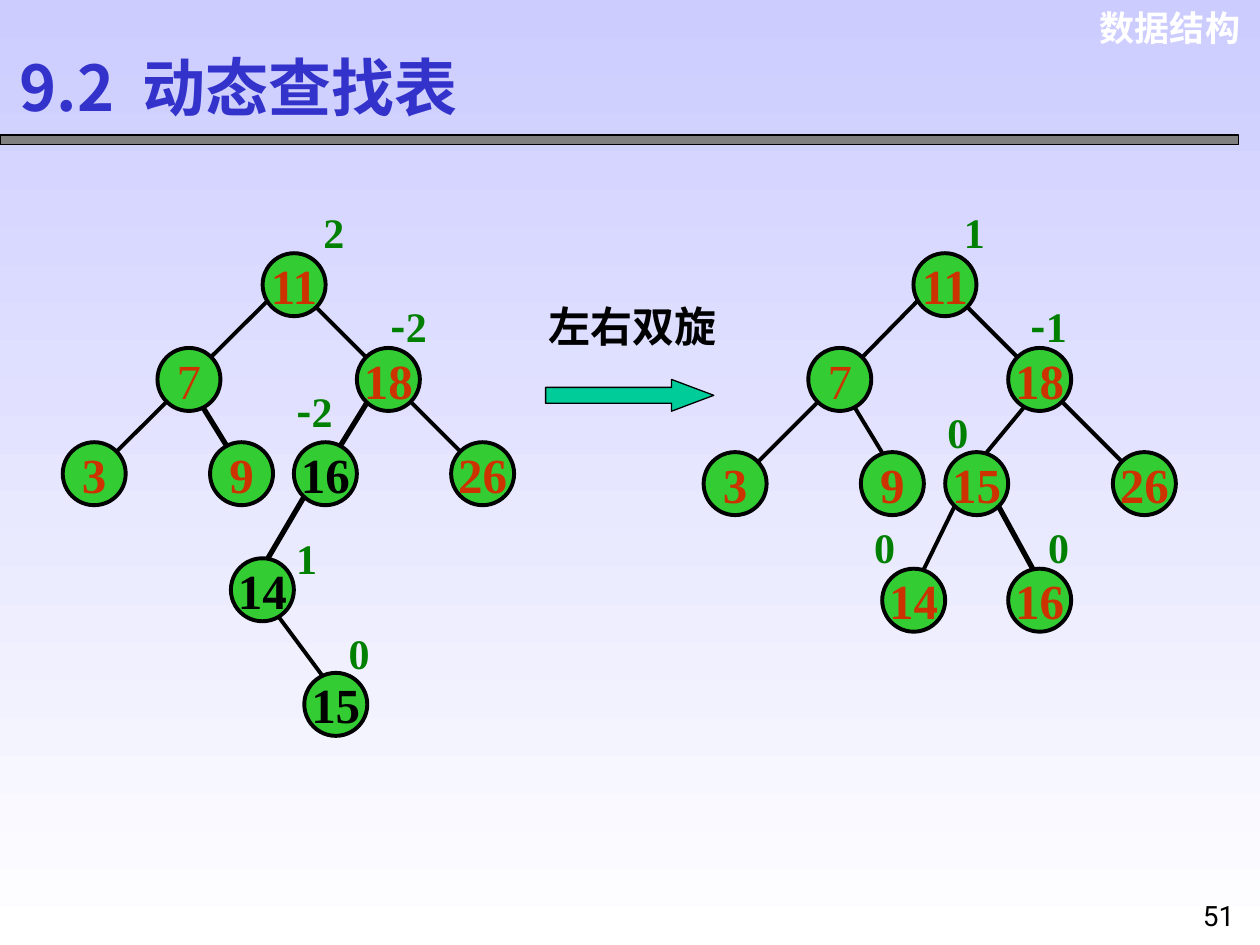
from lxml import etree
from pptx import Presentation
from pptx.dml.color import RGBColor
from pptx.enum.shapes import MSO_CONNECTOR, MSO_SHAPE
from pptx.enum.text import MSO_ANCHOR, PP_ALIGN
from pptx.oxml.ns import qn
from pptx.util import Cm, Pt

LEFT, CENTER, RIGHT = PP_ALIGN.LEFT, PP_ALIGN.CENTER, PP_ALIGN.RIGHT
MIDDLE = MSO_ANCHOR.MIDDLE
STRAIGHT = MSO_CONNECTOR.STRAIGHT
OVAL, BAR, ARROW = MSO_SHAPE.OVAL, MSO_SHAPE.RECTANGLE, MSO_SHAPE.RIGHT_ARROW

BLACK = RGBColor(0x00, 0x00, 0x00)
WHITE = RGBColor(0xFF, 0xFF, 0xFF)
LAVENDER = RGBColor(0xCC, 0xCC, 0xFF)
TITLE_BLUE = RGBColor(0x33, 0x33, 0xCC)
GRAY = RGBColor(0x80, 0x80, 0x80)
NODE_GREEN = RGBColor(0x33, 0xCC, 0x33)
KEY_RED = RGBColor(0xCC, 0x33, 0x00)
BALANCE_GREEN = RGBColor(0x00, 0x80, 0x00)
TEAL = RGBColor(0x00, 0xCC, 0x99)
SERIF, HAN = "Times New Roman", "Noto Sans CJK SC"
DIAMETER = 1.27


def write(shape, runs, size, color, bold=True, align=LEFT, wrap=True):
    """Fill the shape's first paragraph with (text, font) runs."""
    shape.text_frame.word_wrap = wrap
    paragraph = shape.text_frame.paragraphs[0]
    paragraph.alignment = align
    for text, font in runs:
        run = paragraph.add_run()
        run.text = text
        run.font.size = Pt(size)
        run.font.bold = bold
        run.font.color.rgb = color
        run.font.name = font
        east_asian = etree.SubElement(run._r.get_or_add_rPr(), qn("a:ea"))
        east_asian.set("typeface", HAN)
    return paragraph


def add_filled(kind, left, top, width, height, fill, line_width):
    shape = slide.shapes.add_shape(kind, Cm(left), Cm(top), Cm(width), Cm(height))
    shape.shadow.inherit = False
    shape.fill.solid()
    shape.fill.fore_color.rgb = fill
    shape.line.color.rgb = BLACK
    shape.line.width = Pt(line_width)
    return shape


prs = Presentation()
prs.slide_width, prs.slide_height = Cm(25.4), Cm(19.05)
slide = prs.slides.add_slide(prs.slide_layouts[6])

background = slide.background.fill
background.gradient()
background.gradient_angle = 270
for stop, color in zip(background.gradient_stops, (LAVENDER, WHITE)):
    stop.color.rgb = color

# Header, title and page number
course = slide.shapes.add_textbox(Cm(21.77), Cm(0), Cm(3.48), Cm(1.12))
write(course, [("数据结构", "Arial")], 20, WHITE, align=RIGHT)
add_filled(BAR, 0, 2.72, 24.97, 0.2, GRAY, 0.75)
title = slide.shapes.add_textbox(Cm(0.15), Cm(0.86), Cm(10.16), Cm(3.3))
heading = write(title, [("9.2", HAN), (" ", HAN), ("动态查找表", HAN)], 36, TITLE_BLUE)
heading.runs[1]._r.get_or_add_rPr().set("spc", "800")  # widens the gap after the number
page = slide.shapes.add_textbox(Cm(23.93), Cm(17.98), Cm(1.27), Cm(1.07))
write(page, [("51", "Roboto")], 16, BLACK, bold=False, align=CENTER)

# Branches: x1, y1, x2, y2, line width
branches = [
    # before the rotation
    (5.72, 5.74, 4.24, 7.21, 2.25), (6.35, 6.17, 7.62, 7.44, 2.25),
    (3.61, 7.85, 1.9, 9.55, 2.25), (4.01, 8.08, 4.65, 9.12, 3),
    (7.42, 8.08, 6.78, 9.12, 3), (8.26, 8.08, 9.53, 9.35, 2.25),
    (6.15, 9.98, 5.28, 11.46, 3), (5.51, 12.29, 6.78, 14, 2.25),
    # after the rotation
    (18.62, 5.94, 17.15, 7.44, 2.25), (19.48, 6.17, 20.75, 7.44, 2.25),
    (16.51, 8.08, 15.24, 9.35, 2.25), (17.15, 8.08, 17.78, 9.12, 2.25),
    (20.75, 8.08, 19.89, 9.12, 2.25), (21.39, 8.08, 23.29, 9.98, 2.25),
    (19.25, 10.19, 18.42, 11.89, 2.25), (20.12, 10.19, 21.16, 12.09, 3),
]
for x1, y1, x2, y2, weight in branches:
    branch = slide.shapes.add_connector(STRAIGHT, Cm(x1), Cm(y1), Cm(x2), Cm(y2))
    branch.line.color.rgb = BLACK
    branch.line.width = Pt(weight)
    etree.SubElement(branch._element.spPr, qn("a:effectLst"))

# Nodes by level: centre y, key colour, then key and centre x
levels = [
    (5.74, KEY_RED, [("11", 5.93), ("11", 19.05)]),
    (7.65, KEY_RED, [("7", 3.81), ("18", 7.83), ("7", 16.93), ("18", 20.96)]),
    (9.55, KEY_RED, [("3", 1.9), ("9", 4.87), ("26", 9.73)]),
    (9.55, BLACK, [("16", 6.56)]),
    (11.89, BLACK, [("14", 5.29)]),
    (14.2, BLACK, [("15", 6.77)]),
    (9.75, KEY_RED, [("3", 14.82), ("9", 17.99), ("15", 19.69), ("26", 23.07)]),
    (12.1, KEY_RED, [("14", 18.42), ("16", 20.96)]),
]
for y, key_color, nodes in levels:
    for key, x in nodes:
        node = add_filled(OVAL, x - DIAMETER / 2, y - DIAMETER / 2,
                          DIAMETER, DIAMETER, NODE_GREEN, 2.25)
        node.text_frame.vertical_anchor = MIDDLE
        write(node, [(key, SERIF)], 28, key_color, bold=key != "7",
              align=CENTER, wrap=False)

# Balance factors: value, left, top
balances = [
    ("2", 6.27, 4.04), ("-2", 7.62, 5.94), ("-2", 5.72, 7.65),
    ("1", 5.72, 10.62), ("0", 6.78, 12.52),
    ("1", 19.18, 4.04), ("-1", 20.52, 5.94), ("0", 18.85, 8.08),
    ("0", 17.37, 10.39), ("0", 20.88, 10.39),
]
for value, left, top in balances:
    negative = value.startswith("-")
    balance = slide.shapes.add_textbox(
        Cm(left), Cm(top), Cm(1.6 if negative else 0.91), Cm(1.27))
    runs = [(sign, HAN if sign == "-" else SERIF) for sign in value]
    write(balance, runs, 24, BALANCE_GREEN, wrap=negative)

# Rotation step between the trees
rotation = slide.shapes.add_textbox(Cm(10.8), Cm(5.94), Cm(4.11), Cm(1.27))
write(rotation, [("左右双旋", SERIF)], 24, BLACK)
arrow = add_filled(ARROW, 11, 7.65, 3.39, 0.64, TEAL, 0.75)
arrow.adjustments[0] = 0.5
arrow.adjustments[1] = 1.33

prs.save("out.pptx")
